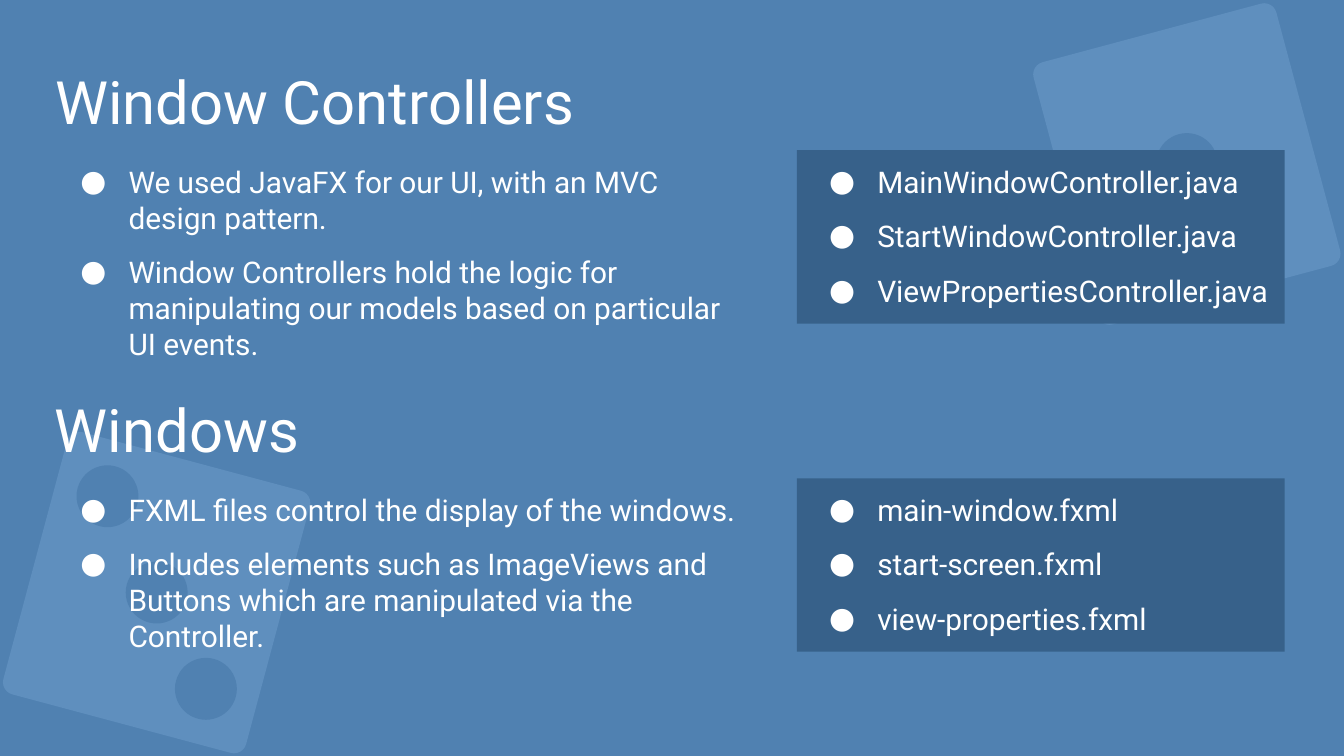
"""Build the slide on window controllers and windows."""
from dataclasses import dataclass

from lxml.etree import SubElement
from pptx import Presentation
from pptx.dml.color import RGBColor as Rgb
from pptx.enum.shapes import MSO_SHAPE as Kind
from pptx.enum.text import MSO_ANCHOR as Anchor, MSO_AUTO_SIZE as Auto, PP_ALIGN as Align
from pptx.oxml.ns import qn
from pptx.util import Cm, Pt


@dataclass(frozen=True)
class Theme:
    back: Rgb = Rgb.from_string("5081B1")
    card: Rgb = Rgb.from_string("5F8FBE")
    panel: Rgb = Rgb.from_string("37618A")
    ink: Rgb = Rgb.from_string("FFFFFF")
    font: str = "Roboto"
    head: Pt = Pt(32)
    body: Pt = Pt(16)


theme = Theme()


def put_text(box, lines, at, size=theme.body, dots=True, fill=None):
    box.left, box.top, box.width, box.height = [Cm(n) for n in at]
    if fill is not None:
        box.fill.solid()
        box.fill.fore_color.rgb = fill
    frame = box.text_frame
    frame.word_wrap = True
    frame.auto_size = Auto.NONE
    frame.vertical_anchor = Anchor.TOP
    frame.margin_left = frame.margin_right = Cm(0.25)
    frame.margin_top = frame.margin_bottom = Cm(0.25)
    for i, line in enumerate(lines):
        para = frame.add_paragraph() if i else frame.paragraphs[0]
        if dots:
            props = para._p.get_or_add_pPr()
            props.set("marL", str(Cm(1.27)))
            props.set("indent", str(Cm(-0.91)))
            SubElement(props, qn("a:buFont")).set("typeface", theme.font)
            SubElement(props, qn("a:buChar")).set("char", "●")
        para.alignment = Align.LEFT
        para.line_spacing = 1.0
        para.space_before = Pt(10 if i else 0)
        para.space_after = Pt(0)
        run = para.add_run()
        run.text = line
        run.font.name = theme.font
        run.font.size = size
        run.font.bold = False
        run.font.color.rgb = theme.ink
    box.element.getparent().append(box.element)


def put_shape(kind, mid, size, fill, turn):
    left, top = [Cm(m - s / 2) for m, s in zip(mid, size)]
    shape = slide.shapes.add_shape(kind, left, top, Cm(size[0]), Cm(size[1]))
    shape.rotation = turn
    shape.shadow.inherit = False
    shape.fill.solid()
    shape.fill.fore_color.rgb = fill
    shape.line.fill.background()
    return shape


deck = Presentation()
deck.slide_width, deck.slide_height = Cm(25.4), Cm(14.29)
slide = deck.slides.add_slide(deck.slide_layouts[4])
slide.background.fill.solid()
slide.background.fill.fore_color.rgb = theme.back

for x, y, turn, pips in [(22.43, 3.1, 165, [0]), (2.96, 11.2, 195, [-1, 0, 1])]:
    card = put_shape(Kind.ROUNDED_RECTANGLE, (x, y), (4.75, 5.13), theme.card, turn)
    card.adjustments[0] = 0.05
    for n in pips:
        mid = (x + 0.93 * n, y + 1.82 * n)
        put_shape(Kind.OVAL, mid, (1.17, 1.17), theme.back, turn)

parts = [
    (
        "Window Controllers",
        [
            "We used JavaFX for our UI, with an MVC design pattern.",
            "Window Controllers hold the logic for manipulating our models "
            "based on particular UI events.",
        ],
        [
            "MainWindowController.java",
            "StartWindowController.java",
            "ViewPropertiesController.java",
        ],
    ),
    (
        "Windows",
        [
            "FXML files control the display of the windows.",
            "Includes elements such as ImageViews and Buttons which are "
            "manipulated via the Controller.",
        ],
        ["main-window.fxml", "start-screen.fxml", "view-properties.fxml"],
    ),
]
holders = {h.placeholder_format.idx: h for h in slide.placeholders}
label = slide.shapes.add_textbox(0, 0, Cm(1), Cm(1))
rows = [
    (holders[0], holders[1], holders[2], 22.5, 4.29),
    (label, holders[3], holders[4], 8.33, 4.65),
]
for i, ((head, notes, files), (title, left, right, wide, tall)) in enumerate(zip(parts, rows)):
    top = 0.97 + 6.2 * i
    put_text(title, [head], (0.79, top, wide, 1.88), size=theme.head, dots=False)
    put_text(left, notes, (0.91, top + 1.87, 13.34, tall))
    put_text(right, files, (15.06, top + 1.87, 9.22, 3.28), fill=theme.panel)

deck.save("out.pptx")
